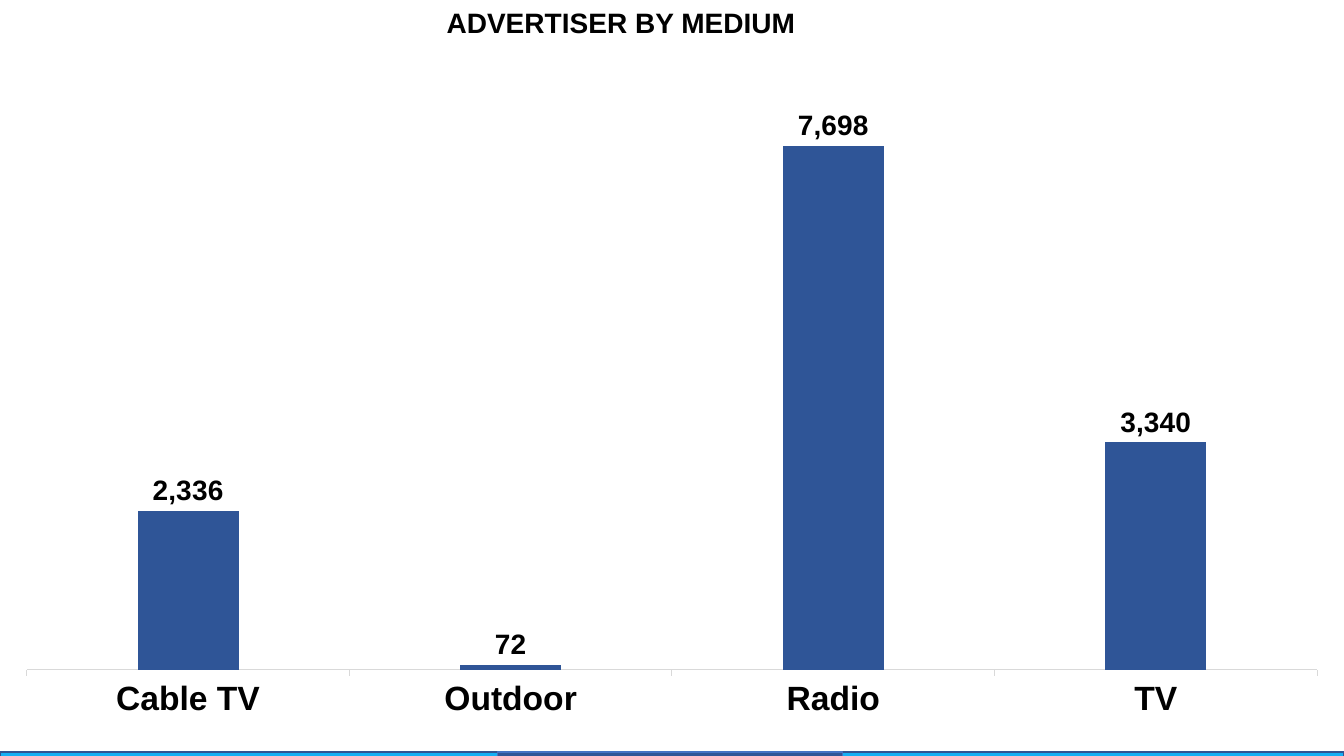
from lxml import etree
from pptx import Presentation
from pptx.chart.data import CategoryChartData as ChartData
from pptx.dml.color import RGBColor
from pptx.enum.chart import XL_CHART_TYPE as ChartType
from pptx.enum.chart import XL_LABEL_POSITION as LabelPosition
from pptx.enum.chart import XL_TICK_MARK as TickMark
from pptx.enum.shapes import MSO_SHAPE as Preset
from pptx.enum.text import MSO_ANCHOR as Anchor
from pptx.enum.text import MSO_AUTO_SIZE as AutoSize
from pptx.enum.text import PP_ALIGN as Align
from pptx.oxml.ns import qn
from pptx.util import Inches, Pt

NAVY, SKY, BLACK, PALE = "2F5597", "14AFF4", "000000", "D9D9D9"


def color(hex_value):
    return RGBColor.from_string(hex_value)


def apply(target, values):
    for name, value in values.items():
        setattr(target, name, value)


class SlideBuilder:
    def __init__(self, presentation):
        self.width = presentation.slide_width
        self.height = presentation.slide_height
        self.font_name = "Arial"
        self.slide = presentation.slides.add_slide(presentation.slide_layouts[5])

    def box(self, left, top, width, height):
        return (int(left * self.width), int(top * self.height),
                int(width * self.width), int(height * self.height))

    def style_font(self, font, size):
        apply(font, {"name": self.font_name, "size": Pt(size), "bold": True})
        font.color.rgb = color(BLACK)

    def title(self, text, *shares):
        shape = self.slide.shapes.title
        apply(shape, dict(zip(("left", "top", "width", "height"), self.box(*shares))))
        frame = shape.text_frame
        apply(frame, {"text": text, "word_wrap": True, "auto_size": AutoSize.NONE,
                      "vertical_anchor": Anchor.TOP})
        paragraph = frame.paragraphs[0]
        paragraph.alignment = Align.CENTER
        self.style_font(paragraph.runs[0].font, 20)

    def strip(self, fill, line, *shares):
        shape = self.slide.shapes.add_shape(Preset.RECTANGLE, *self.box(*shares))
        shape.shadow.inherit = False
        shape.fill.solid()
        shape.fill.fore_color.rgb = color(fill)
        shape.line.color.rgb = color(line)
        shape.line.width = Pt(1)

    def column_chart(self, values, plot_shares, *shares):
        data = ChartData(number_format="#,##0")
        data.categories = list(values)
        data.add_series("Series 1", list(values.values()))
        chart = self.slide.shapes.add_chart(
            ChartType.COLUMN_CLUSTERED, *self.box(*shares), data).chart
        apply(chart, {"has_legend": False, "has_title": False})
        apply(chart.font, {"name": "Calibri", "size": Pt(10)})
        chart.font.color.rgb = color(BLACK)

        apply(chart.value_axis, {"visible": False, "has_major_gridlines": False,
                                 "minimum_scale": 0, "maximum_scale": 9000})
        category_axis = chart.category_axis
        apply(category_axis, {"major_tick_mark": TickMark.OUTSIDE,
                              "minor_tick_mark": TickMark.NONE})
        category_axis.format.line.color.rgb = color(PALE)
        category_axis.format.line.width = Pt(0.75)
        self.style_font(category_axis.tick_labels.font, 24)

        plot = chart.plots[0]
        apply(plot, {"gap_width": 219, "overlap": -27,
                     "vary_by_categories": False, "has_data_labels": True})
        apply(plot.data_labels, {"show_value": True, "number_format": "#,##0",
                                 "number_format_is_linked": False,
                                 "position": LabelPosition.OUTSIDE_END})
        self.style_font(plot.data_labels.font, 20)
        fill = plot.series[0].format.fill
        fill.solid()
        fill.fore_color.rgb = color(NAVY)
        self.place_plot(chart, plot_shares)

    def place_plot(self, chart, plot_shares):
        area = chart.plots[0]._element.getparent()
        for layout in area.findall(qn("c:layout")):
            area.remove(layout)
        layout = etree.Element(qn("c:layout"))
        area.insert(0, layout)
        manual = etree.SubElement(layout, qn("c:manualLayout"))
        settings = {"layoutTarget": "inner", "xMode": "edge", "yMode": "edge"}
        settings.update(zip("xywh", plot_shares))
        for name, value in settings.items():
            etree.SubElement(manual, qn(f"c:{name}")).set("val", str(value))


def main():
    presentation = Presentation()
    apply(presentation, {"slide_width": Inches(13.33), "slide_height": Inches(7.5)})
    builder = SlideBuilder(presentation)
    builder.title("ADVERTISER BY MEDIUM", 0.182, 0, 0.56, 0.08)
    strip_top, strip_height = 7.46 / 7.5, 0.05
    for fill, line, left, width in (
        (SKY, "325491", 0, 0.375),
        (SKY, "325491", 0.621, 0.379),
        (NAVY, "4472C4", 0.37, 0.257),
    ):
        builder.strip(fill, line, left, strip_top, width, strip_height)
    mediums = {"Cable TV": 2336, "Outdoor": 72, "Radio": 7698, "TV": 3340}
    builder.column_chart(mediums, (0.02, 0.022, 0.96, 0.89), 0, 0.056, 1, 0.91)
    presentation.save("out.pptx")


if __name__ == "__main__":
    main()
